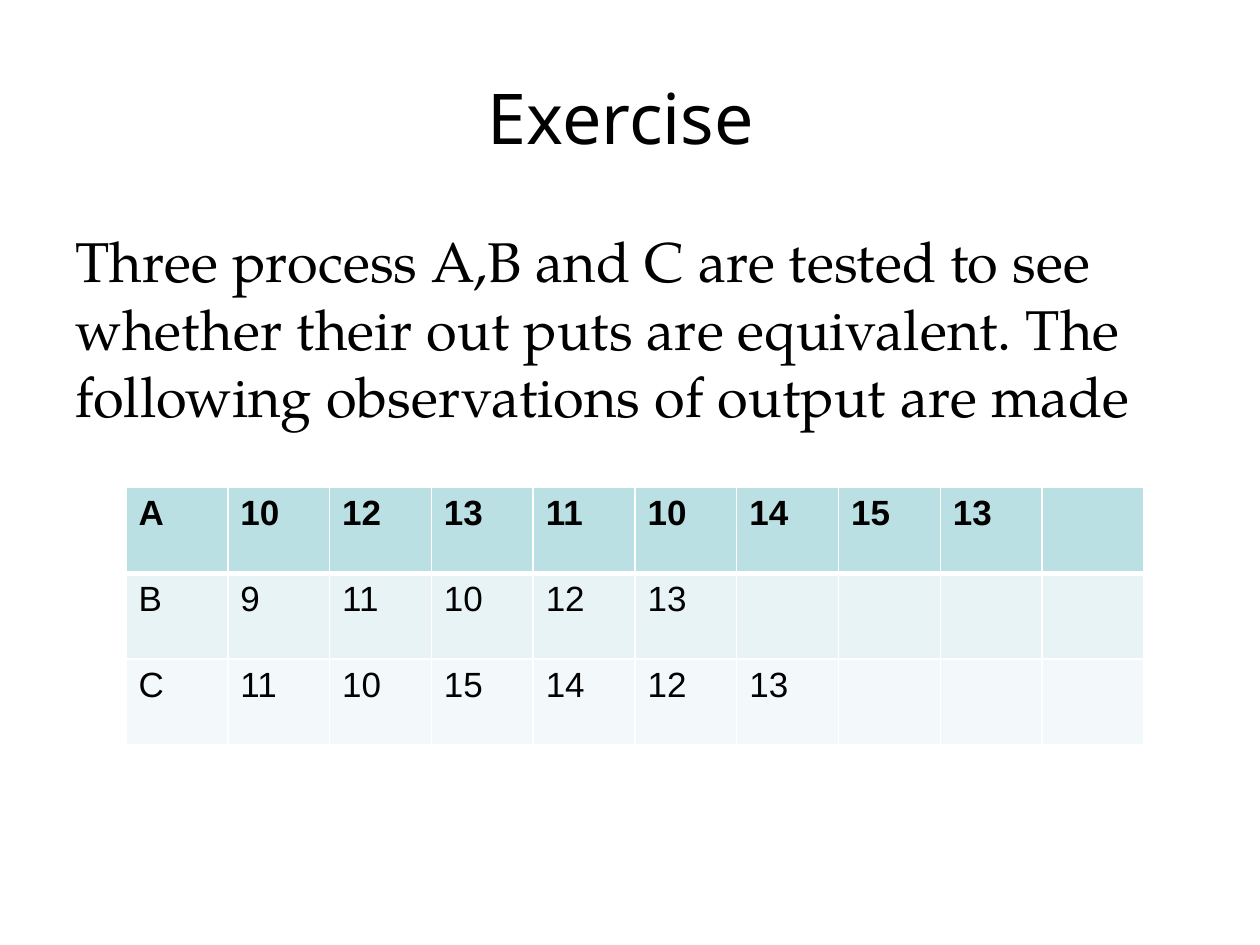
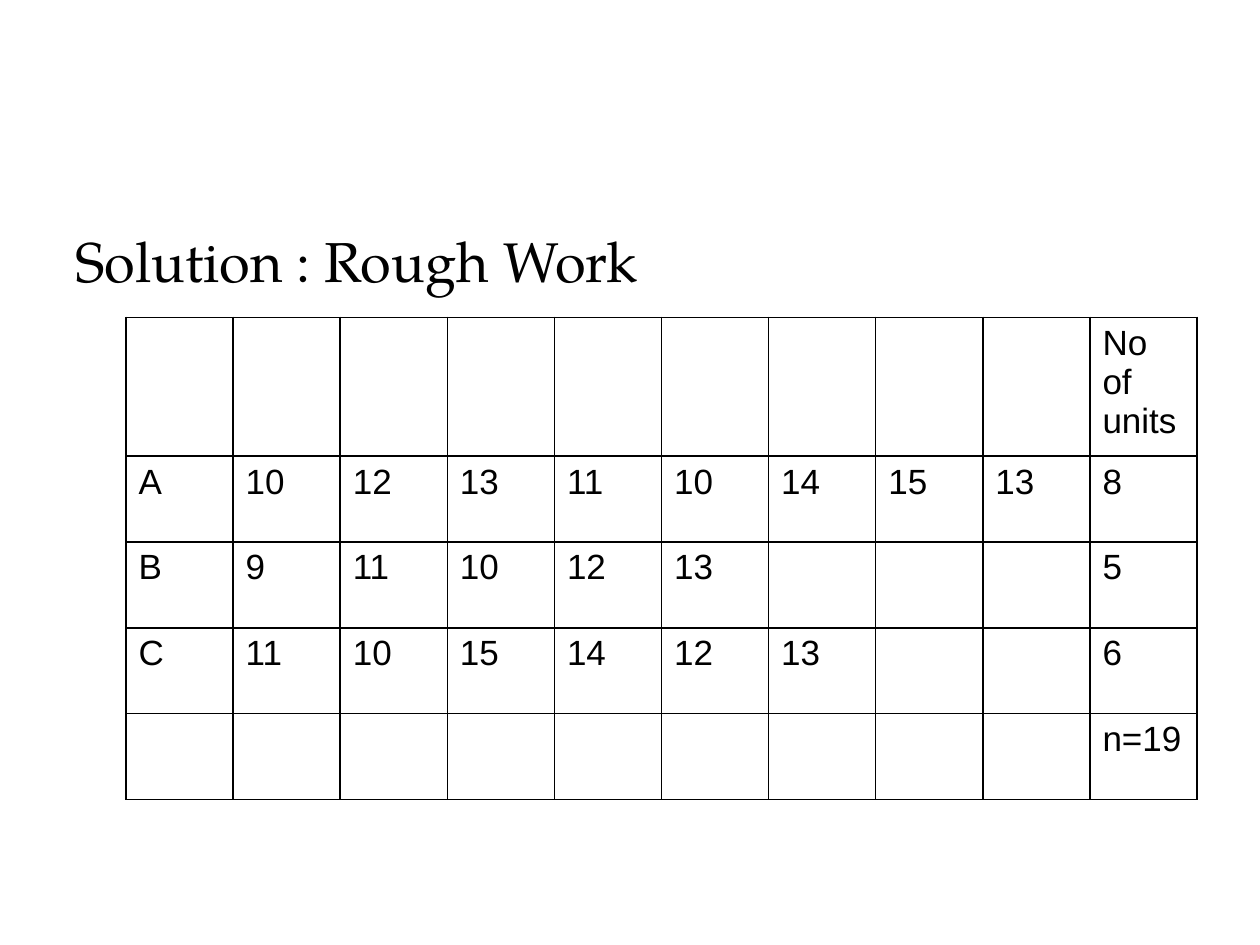
from dataclasses import dataclass

from lxml.etree import SubElement
from pptx import Presentation
from pptx.dml.color import RGBColor as RGB
from pptx.enum.text import MSO_ANCHOR as Anchor, PP_ALIGN as Align
from pptx.oxml.ns import qn
from pptx.util import Cm, Pt


@dataclass(frozen=True)
class Theme:
    ink: str = "000000"
    paper: str = "FFFFFF"
    header_fill: str = "BBE0E3"
    band_fills: tuple = ("E7F3F4", "F3F9FA")
    title_font: str = "Noto Sans"
    body_font: str = "TeX Gyre Pagella"
    table_font: str = "Arial"
    title_size: int = 40
    body_size: int = 32
    table_size: int = 20
    thin: int = 1
    thick: int = 3


THEME = Theme()

# Boxes in cm: left, top, width, height
TITLE_BOX = (1.27, 0.76, 22.86, 3.18)
BODY_BOX = (1.27, 4.45, 22.86, 12.57)
ROW_HEIGHT = 1.73
COLUMNS = 10

OUTPUTS = {
    "A": [10, 12, 13, 11, 10, 14, 15, 13],
    "B": [9, 11, 10, 12, 13],
    "C": [11, 10, 15, 14, 12, 13],
}


def style_paragraph(paragraph, font_name, size, bold=False):
    font = paragraph.font
    font.name, font.size, font.bold = font_name, Pt(size), bold
    font.color.rgb = RGB.from_string(THEME.ink)


def add_text(slide, box, text, font_name, size):
    frame = slide.shapes.add_textbox(*map(Cm, box)).text_frame
    frame.word_wrap = True
    paragraph = frame.paragraphs[0]
    paragraph.text = text
    style_paragraph(paragraph, font_name, size)
    return frame


def add_title(slide, text):
    frame = add_text(slide, TITLE_BOX, text, THEME.title_font, THEME.title_size)
    frame.vertical_anchor = Anchor.MIDDLE
    frame.paragraphs[0].alignment = Align.CENTER


def add_body(slide, text):
    frame = add_text(slide, BODY_BOX, text, THEME.body_font, THEME.body_size)
    frame.paragraphs[0].space_before = Pt(0.2 * THEME.body_size)


def set_borders(cell, color, top, bottom):
    """Draw the four sides; top and bottom are widths in points."""
    properties = cell._tc.get_or_add_tcPr()
    widths = {"lnL": THEME.thin, "lnR": THEME.thin, "lnT": top, "lnB": bottom}
    for side, width in widths.items():
        line = SubElement(properties, qn(f"a:{side}"), w=str(Pt(width)))
        fill = SubElement(line, qn("a:solidFill"))
        SubElement(fill, qn("a:srgbClr"), val=color)


def add_grid(slide, left, top, width, rows, border, fills=None):
    """Add a table; with fills, the first row becomes a bold header."""
    table = slide.shapes.add_table(
        len(rows), COLUMNS, Cm(left), Cm(top), Cm(width), Cm(ROW_HEIGHT * len(rows))
    ).table
    table.first_row = table.horz_banding = False
    for r, values in enumerate(rows):
        header = bool(fills) and r == 0
        upper = THEME.thick if fills and r == 1 else THEME.thin
        lower = THEME.thick if header else THEME.thin
        for c, value in enumerate(values):
            cell = table.cell(r, c)
            cell.text = str(value)
            style_paragraph(cell.text_frame.paragraphs[0], THEME.table_font,
                            THEME.table_size, header)
            set_borders(cell, border, upper, lower)
            if fills:
                cell.fill.solid()
                cell.fill.fore_color.rgb = RGB.from_string(fills[r])
            else:
                cell.fill.background()


def padded(process, outputs, width):
    return [process, *outputs] + [""] * (width - 1 - len(outputs))


def build_exercise(slide):
    add_title(slide, "Exercise ")
    add_body(slide, "Three process A,B and C are tested to see whether their out puts "
                    "are equivalent. The following observations of output are made")
    # Observed outputs per process
    rows = [padded(process, outputs, COLUMNS) for process, outputs in OUTPUTS.items()]
    add_grid(slide, 2.54, 9.83, 20.52, rows, THEME.paper,
             (THEME.header_fill, *THEME.band_fills))


def build_solution(slide):
    add_body(slide, "Solution : Rough Work")
    # Outputs with the number of units in the last column
    blanks = [""] * (COLUMNS - 1)
    counted = [padded(process, outputs, COLUMNS - 1) + [len(outputs)]
               for process, outputs in OUTPUTS.items()]
    total = sum(map(len, OUTPUTS.values()))
    rows = [blanks + ["No of units"], *counted, blanks + [f"n={total}"]]
    add_grid(slide, 2.54, 6.4, 21.59, rows, THEME.ink)


def main():
    deck = Presentation()
    deck.slide_width, deck.slide_height = Cm(25.4), Cm(19.05)
    blank = deck.slide_layouts[6]
    for build in (build_exercise, build_solution):
        build(deck.slides.add_slide(blank))
    deck.save("out.pptx")


if __name__ == "__main__":
    main()
